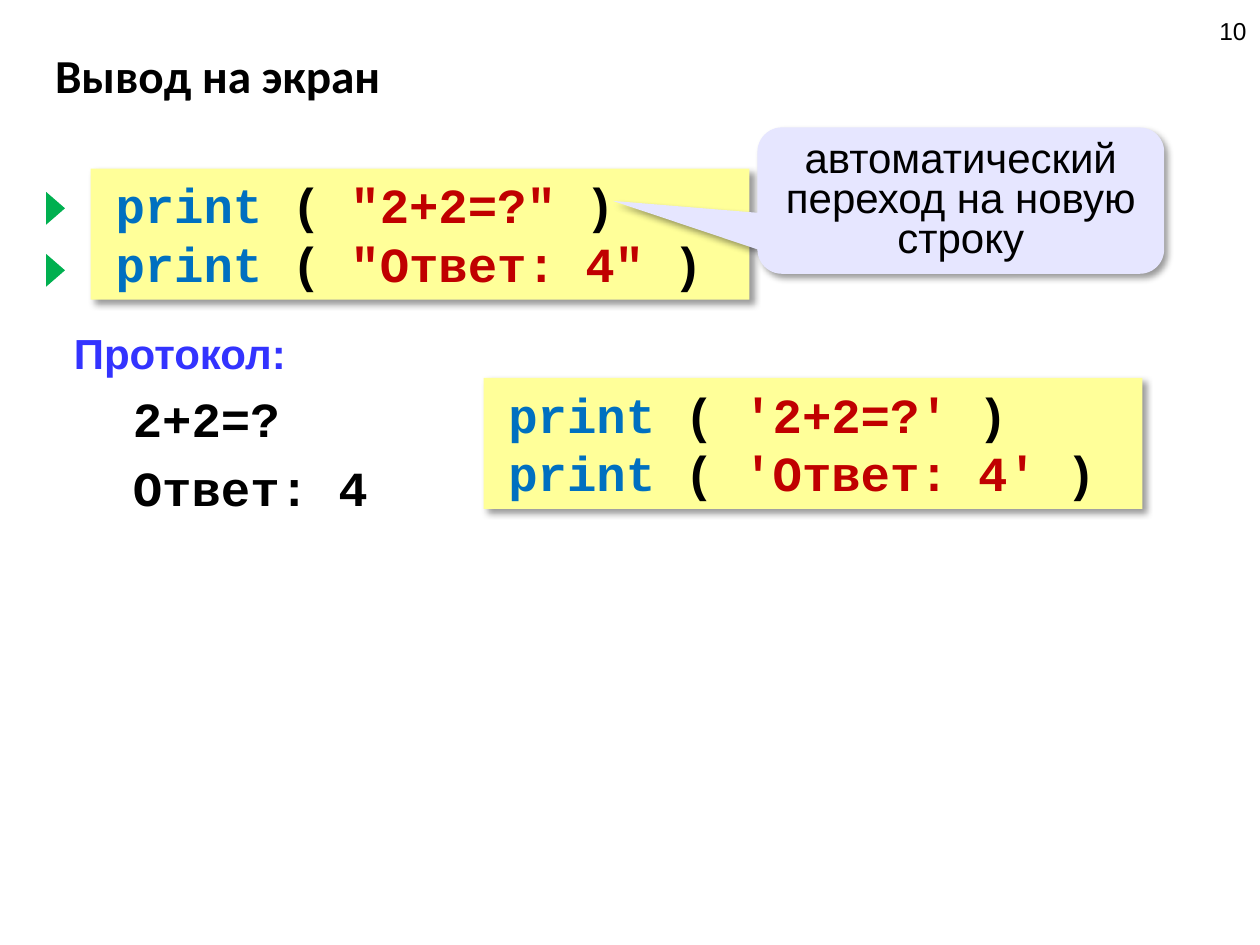
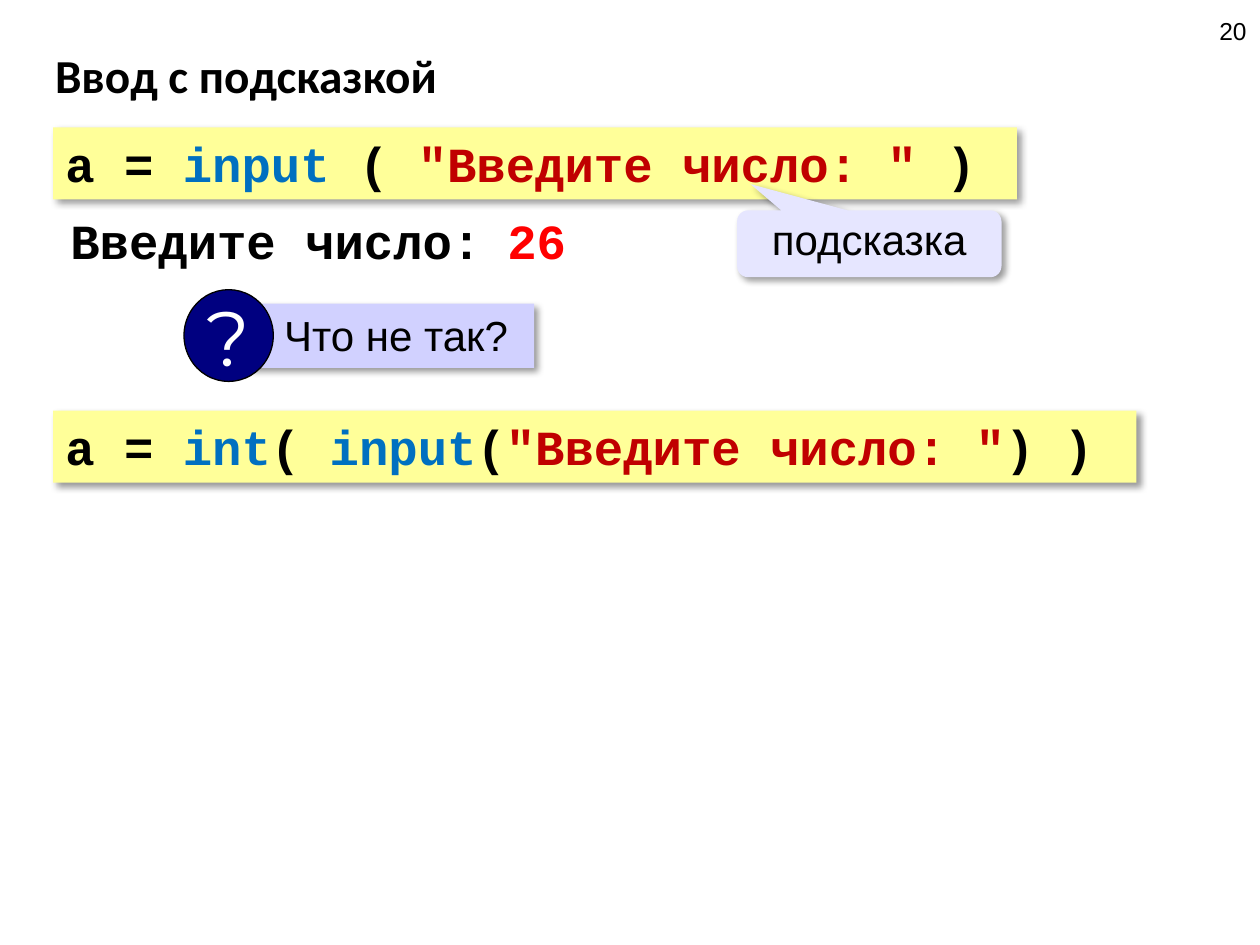
from dataclasses import dataclass

from lxml import etree
from pptx import Presentation
from pptx.dml.color import RGBColor
from pptx.enum.shapes import MSO_SHAPE
from pptx.enum.text import MSO_ANCHOR, PP_ALIGN
from pptx.oxml.ns import qn
from pptx.util import Cm, Pt

RECTANGLE = MSO_SHAPE.RECTANGLE
ELLIPSE = MSO_SHAPE.OVAL
TRIANGLE = MSO_SHAPE.ISOSCELES_TRIANGLE
CALLOUT = MSO_SHAPE.ROUNDED_RECTANGULAR_CALLOUT
TOP, MIDDLE = MSO_ANCHOR.TOP, MSO_ANCHOR.MIDDLE
LEFT, CENTER, RIGHT = PP_ALIGN.LEFT, PP_ALIGN.CENTER, PP_ALIGN.RIGHT

BLACK = RGBColor(0x00, 0x00, 0x00)
WHITE = RGBColor(0xFF, 0xFF, 0xFF)
KEYWORD = RGBColor(0x00, 0x70, 0xC0)
STRING = RGBColor(0xC0, 0x00, 0x00)
TYPED = RGBColor(0xFF, 0x00, 0x00)
HEADING = RGBColor(0x33, 0x33, 0xFF)
CODE_FILL = RGBColor(0xFF, 0xFF, 0x99)
CALLOUT_FILL = RGBColor(0xE6, 0xE6, 0xFF)
QUESTION_FILL = RGBColor(0xD1, 0xD1, 0xFF)
NAVY = RGBColor(0x00, 0x00, 0x80)
GREEN = RGBColor(0x00, 0xB0, 0x50)


@dataclass
class Box:
    left: float
    top: float
    width: float
    height: float

    def lengths(self):
        return [Cm(v) for v in (self.left, self.top, self.width, self.height)]

    def inner(self, left, top, width, height):
        return Box(self.left + left, self.top + top, width, height)


def style_font(font, name, size, color, bold=False):
    font.name = name
    font.size = Pt(size)
    font.bold = bold
    font.color.rgb = color


def style_code(font, color=BLACK):
    style_font(font, "Courier New", 28, color, bold=True)


def style_plain(font):
    style_font(font, "Arial", 24, BLACK)


def set_indent(para, margin=0.0, first=0.0):
    properties = para._p.get_or_add_pPr()
    properties.set("marL", str(Cm(margin)))
    properties.set("indent", str(Cm(first)))


def add_shadow(shape):
    effects = shape._element.spPr.find(qn("a:effectLst"))
    shadow = etree.SubElement(effects, qn("a:outerShdw"), blurRad=str(Pt(4)),
                              dist=str(Pt(3)), dir="2700000", algn="tl", rotWithShape="0")
    color = etree.SubElement(shadow, qn("a:srgbClr"), val=str(BLACK))
    etree.SubElement(color, qn("a:alpha"), val="40000")


def add_panel(shapes, preset, box, fill, shadow=True, align=LEFT, anchor=TOP):
    panel = shapes.add_shape(preset, *box.lengths())
    panel.fill.solid()
    panel.fill.fore_color.rgb = fill
    panel.line.fill.background()
    panel.shadow.inherit = False
    if shadow:
        add_shadow(panel)
    frame = panel.text_frame
    frame.word_wrap = True
    frame.vertical_anchor = anchor
    frame.paragraphs[0].alignment = align
    return panel


def add_text(page, box, text, anchor=TOP, align=LEFT):
    frame = page.shapes.add_textbox(*box.lengths()).text_frame
    frame.word_wrap = True
    frame.vertical_anchor = anchor
    frame.text = text
    for para in frame.paragraphs:
        para.alignment = align
    return frame.paragraphs


def add_page(deck, title, number):
    page = deck.slides.add_slide(deck.slide_layouts[6])
    heading = add_text(page, Box(0.86, 0.84, 23.27, 1.32), title, MIDDLE)[0]
    style_font(heading.font, "Calibri", 27, BLACK, bold=True)
    corner = add_text(page, Box(19.46, -0.05, 5.92, 1.32), number, MIDDLE, RIGHT)[0]
    style_font(corner.font, "Arial", 14, BLACK)
    return page


def add_code(page, box, lines, first=0.0):
    frame = add_panel(page.shapes, RECTANGLE, box, CODE_FILL).text_frame
    for index, spans in enumerate(lines):
        para = frame.add_paragraph() if index else frame.paragraphs[0]
        para.alignment = LEFT
        set_indent(para, first=first)
        for text, color in spans:
            span = para.add_run()
            span.text = text
            style_code(span.font, color)


def add_print_code(page, box, quote):
    answers = ("2+2=?", "Ответ: 4")
    lines = [[("print", KEYWORD), (" ( ", BLACK),
              (f"{quote}{answer}{quote}", STRING), (" )", BLACK)] for answer in answers]
    add_code(page, box, lines, first=0.25)


def add_line_markers(page, code_box, count):
    for index in range(count):
        box = code_box.inner(-1.04, 0.61 + 1.25 * index, 0.66, 0.38)
        marker = add_panel(page.shapes, TRIANGLE, box, GREEN, shadow=False)
        marker.rotation = 90


def add_callout(page, box, text, tip, anchor=TOP):
    callout = add_panel(page.shapes, CALLOUT, box, CALLOUT_FILL, anchor=anchor)
    for index, value in enumerate((*tip, 0.167)):
        callout.adjustments[index] = value
    callout.text_frame.text = text
    para = callout.text_frame.paragraphs[0]
    para.alignment = CENTER
    para.line_spacing = 0.8
    style_plain(para.font)


def add_protocol(page, box):
    heading, *outputs = add_text(page, box, "Протокол:\n2+2=?\nОтвет: 4")
    style_font(heading.font, "Arial", 24, HEADING, bold=True)
    for para in outputs:
        set_indent(para, margin=1.19)
        para.space_before = Pt(6)
        style_code(para.font)


def add_dialog(page, box, prompt, answer):
    prompt_width = 8.81
    prompt_box = box.inner(0, 0, prompt_width + 0.2, box.height)
    answer_box = box.inner(prompt_width, 0, box.width - prompt_width, box.height)
    style_code(add_text(page, prompt_box, prompt)[0].font)
    style_code(add_text(page, answer_box, answer)[0].font, TYPED)


def add_question(page, box, text):
    shapes = page.shapes.add_group_shape().shapes
    label = add_panel(shapes, RECTANGLE, box.inner(1.29, 0.28, box.width - 1.29, 1.3),
                      QUESTION_FILL)
    label.text_frame.text = text
    para = label.text_frame.paragraphs[0]
    set_indent(para, margin=0.48)
    style_plain(para.font)
    badge = add_panel(shapes, ELLIPSE, box.inner(0, 0, 1.8, box.height), NAVY,
                      shadow=False, anchor=MIDDLE)
    badge.line.color.rgb = BLACK
    badge.line.width = Pt(0.75)
    badge.text_frame.word_wrap = False
    badge.text_frame.text = "?"
    mark = badge.text_frame.paragraphs[0]
    mark.alignment = CENTER
    style_font(mark.font, "Montserrat", 44, WHITE)


def build_output_page(deck):
    page = add_page(deck, "Вывод на экран", "10")
    code_box = Box(1.83, 3.4, 13.28, 2.64)
    add_print_code(page, code_box, '"')
    add_protocol(page, Box(1.24, 6.48, 23.01, 4.17))
    add_line_markers(page, code_box, 2)
    add_callout(page, Box(15.27, 2.57, 8.2, 2.95),
                "автоматический переход на новую строку", (-0.856, 0.002))
    add_print_code(page, code_box.inner(7.92, 4.22, 13.28, 2.64), "'")


def build_input_page(deck):
    page = add_page(deck, "Ввод с подсказкой", "20")
    prompt = ('"Введите число: "', STRING)
    add_code(page, Box(1.07, 2.57, 19.43, 1.45), [
        [("a = ", BLACK), ("input", KEYWORD), (" ( ", BLACK), prompt, (" )", BLACK)]])
    add_callout(page, Box(14.86, 4.24, 5.33, 1.35), "подсказка", (-0.449, -0.891), MIDDLE)
    add_dialog(page, Box(1.17, 4.11, 10.6, 1.45), "Введите число:", "26")
    add_question(page, Box(3.71, 5.84, 7.06, 1.85), "Что не так?")
    add_code(page, Box(1.07, 8.28, 21.84, 1.45), [
        [("a = ", BLACK), ("int", KEYWORD), ("( ", BLACK), ("input", KEYWORD),
         ("(", BLACK), prompt, (") )", BLACK)]])


def main():
    deck = Presentation()
    deck.slide_width, deck.slide_height = Cm(25.4), Cm(19.05)
    build_output_page(deck)
    build_input_page(deck)
    deck.save("out.pptx")


if __name__ == "__main__":
    main()
